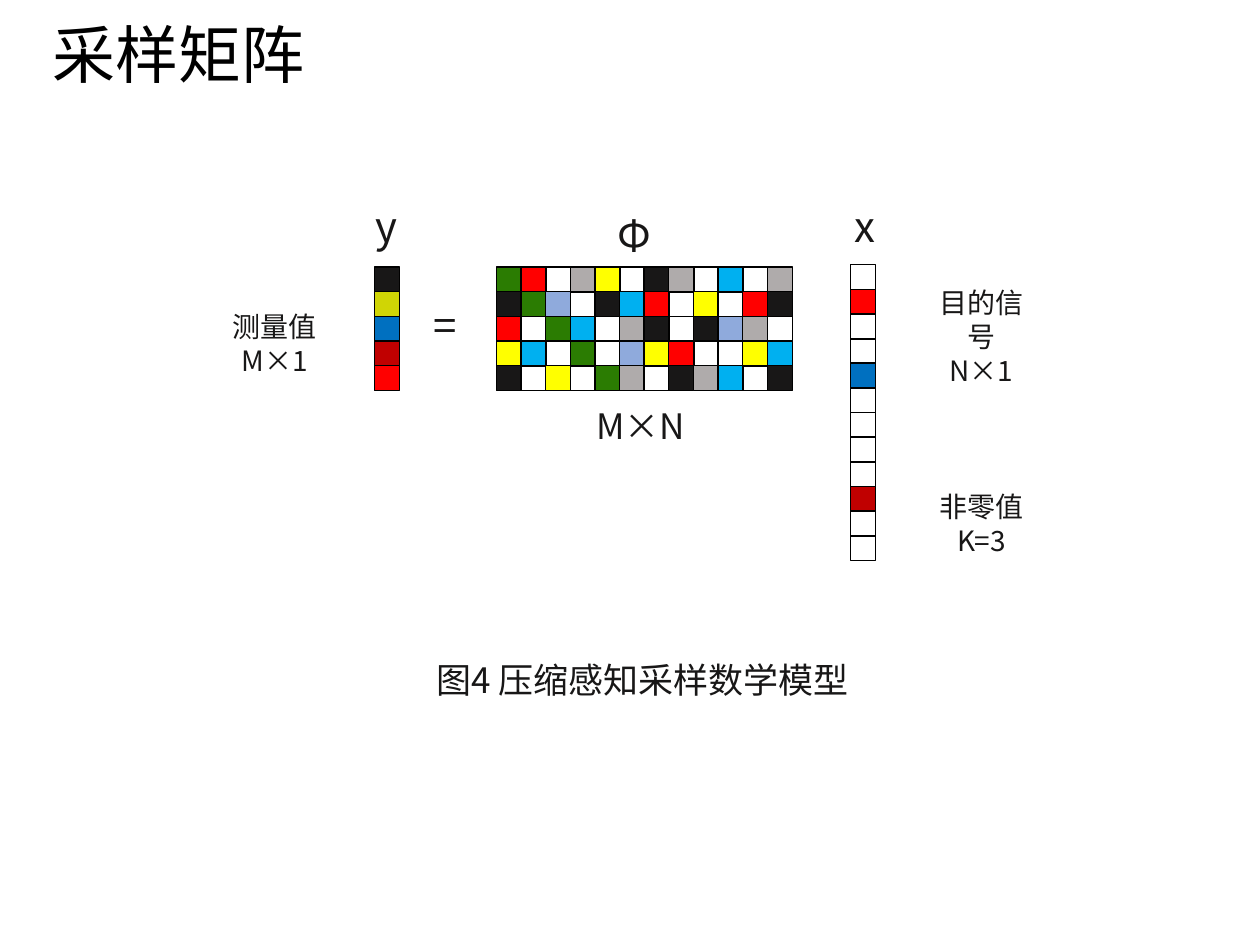
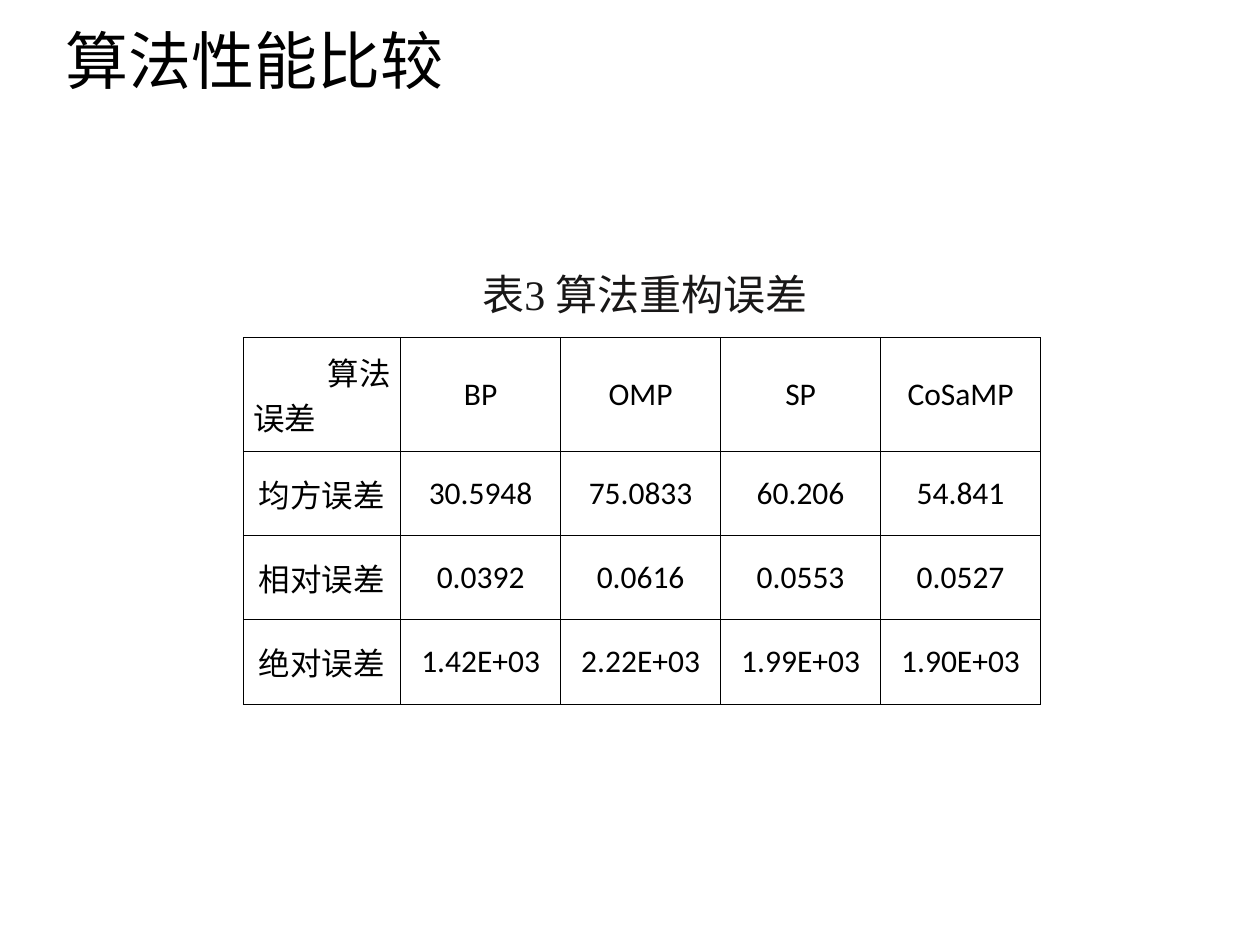
from lxml import etree
from pptx import Presentation
from pptx.dml.color import RGBColor
from pptx.enum.shapes import MSO_SHAPE
from pptx.enum.text import MSO_ANCHOR, PP_ALIGN
from pptx.oxml.ns import qn
from pptx.util import Inches, Pt

BLACK = RGBColor(0x00, 0x00, 0x00)
INK = RGBColor(0x18, 0x17, 0x17)
CELL_COLORS = {
    "K": INK,
    "G": RGBColor(0x2B, 0x7C, 0x02),
    "R": RGBColor(0xFF, 0x00, 0x00),
    "D": RGBColor(0xC0, 0x00, 0x00),
    "Y": RGBColor(0xFF, 0xFF, 0x00),
    "O": RGBColor(0xD0, 0xD5, 0x05),
    "A": RGBColor(0xAF, 0xAB, 0xAB),
    "B": RGBColor(0x8F, 0xAA, 0xDC),
    "C": RGBColor(0x00, 0xB0, 0xF0),
    "N": RGBColor(0x00, 0x70, 0xC0),
}
SANS, LATIN, SERIF = "Noto Sans CJK SC", "Calibri", "Times New Roman"
CELL = 0.2
PITCH = 2.15 / 11


def style(p, size, font, color, align=PP_ALIGN.CENTER):
    p.alignment = align
    p.font.size = Pt(size)
    p.font.name = font
    p.font.color.rgb = color


def add_text(s, box, lines, size, font=SANS, color=INK, align=PP_ALIGN.CENTER, wrap=False):
    tf = s.shapes.add_textbox(*map(Inches, box)).text_frame
    tf.word_wrap = wrap
    tf.text = "\n".join(lines)
    for p in tf.paragraphs:
        style(p, size, font, color, align)
    return tf


prs = Presentation()
prs.slide_width, prs.slide_height = Inches(10), Inches(7.5)
blank = prs.slide_layouts[6]

# Slide 1: sampling matrix
s = prs.slides.add_slide(blank)
tf = add_text(s, (0.32, 0.12, 2.56, 0.68), ["采样矩阵"], 36, LATIN, BLACK, PP_ALIGN.LEFT)
tf.vertical_anchor = MSO_ANCHOR.MIDDLE
tf.paragraphs[0].line_spacing = 0.9

# Coloured grids: left, top, rows of colour keys (a dot is an empty cell)
grids = [
    (2.97, 2.12, "OK"[1] + "ONDR"),
    (3.94, 2.12, ["GR.AY.KA.C.A", "KGB.KCR.Y.RK", "R.GC.AK.KBA.",
                  "YC.G.BYR..YC", "K.Y.GA.KAC.K"]),
    (6.75, 2.1, ".R..N....D.."),
]
for left, top, rows in grids:
    for i, row in enumerate(rows):
        for j, key in enumerate(row):
            sp = s.shapes.add_shape(
                MSO_SHAPE.RECTANGLE, Inches(left + j * PITCH), Inches(top + i * PITCH),
                Inches(CELL), Inches(CELL))
            sp.shadow.inherit = False
            sp.line.color.rgb = BLACK
            sp.line.width = Pt(0.75)
            if key == ".":
                sp.fill.background()
            else:
                sp.fill.solid()
                sp.fill.fore_color.rgb = CELL_COLORS[key]

# Symbols and labels
for box, text, size in [
    ((2.88, 1.54, 0.37, 0.5), "y", 24),
    ((3.34, 2.33, 0.39, 0.5), "=", 24),
    ((4.8, 1.61, 0.47, 0.5), "Φ", 24),
    ((6.68, 1.54, 0.37, 0.5), "x", 24),
    ((4.58, 3.16, 1.01, 0.44), "M×N", 20),
    ((3.29, 5.18, 3.62, 0.44), "图4 压缩感知采样数学模型", 20),
]:
    add_text(s, box, [text], size)
add_text(s, (1.63, 2.41, 1.1, 0.64), ["测量值", "M×1"], 16, wrap=True)
tf = add_text(s, (7.25, 2.22, 1.08, 1.97), ["目的信号", "N×1", "非零值", "K=3"], 16)
tf.paragraphs[2].space_before = Pt(59)

# Slide 2: algorithm comparison
s = prs.slides.add_slide(blank)
add_text(s, (0.42, 0.12, 3.2, 0.7), ["算法性能比较"], 36, LATIN, BLACK, PP_ALIGN.LEFT)
tf = add_text(s, (3.61, 1.88, 3.02, 0.7), ["表3 算法重构误差"], 24, SERIF)
tf.paragraphs[0].line_spacing = 1.5

# Error table
data = [
    ["算法\n误差", "BP", "OMP", "SP", "CoSaMP"],
    ["均方误差", "30.5948", "75.0833", "60.206", "54.841"],
    ["相对误差", "0.0392", "0.0616", "0.0553", "0.0527"],
    ["绝对误差", "1.42E+03", "2.22E+03", "1.99E+03", "1.90E+03"],
]
table = s.shapes.add_table(4, 5, Inches(1.93), Inches(2.68), Inches(6.32), Inches(2.91)).table
table.first_row = table.horz_banding = False
for col, width in zip(table.columns, [1.25] + [1.27] * 4):
    col.width = Inches(width)
for row, height, texts in zip(table.rows, [0.9] + [0.67] * 3, data):
    row.height = Inches(height)
    for cell, text in zip(row.cells, texts):
        cell.text = text
        cell.vertical_anchor = MSO_ANCHOR.MIDDLE
        cell.margin_left = cell.margin_right = Inches(0.08)
        for p in cell.text_frame.paragraphs:
            style(p, 18, LATIN, BLACK)
        tcPr = cell._tc.get_or_add_tcPr()
        for side in ("a:lnL", "a:lnR", "a:lnT", "a:lnB"):
            ln = etree.SubElement(tcPr, qn(side), w=str(Pt(0.45)))
            fill = etree.SubElement(ln, qn("a:solidFill"))
            etree.SubElement(fill, qn("a:srgbClr"), val=str(BLACK))
        cell.fill.background()

# The corner cell names the columns at right and the rows at left
column_name, row_name = table.cell(0, 0).text_frame.paragraphs
column_name.alignment = PP_ALIGN.RIGHT
row_name.alignment = PP_ALIGN.LEFT

prs.save("out.pptx")
